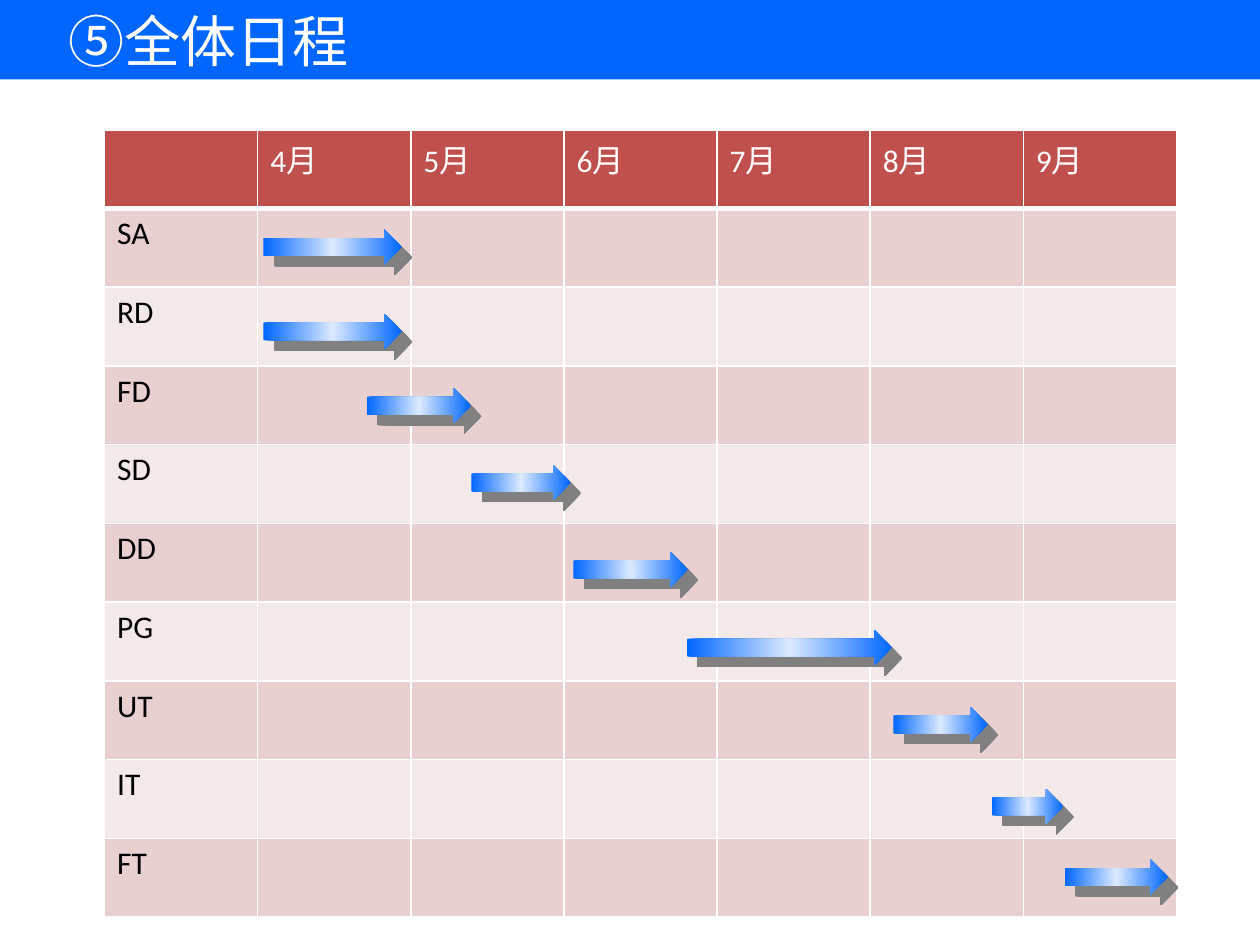
from copy import deepcopy

from lxml.etree import SubElement
from pptx import Presentation
from pptx.dml.color import RGBColor
from pptx.enum.shapes import MSO_SHAPE
from pptx.enum.text import MSO_ANCHOR, MSO_AUTO_SIZE, PP_ALIGN
from pptx.oxml.ns import qn
from pptx.util import Inches, Pt

WHITE = RGBColor(0xFF, 0xFF, 0xFF)
BLACK = RGBColor(0, 0, 0)
BLUE = RGBColor(0x00, 0x66, 0xFF)
PALE_BLUE = RGBColor(0xDC, 0xEA, 0xFF)
GREY = RGBColor(0x80, 0x80, 0x80)
RED = RGBColor(0xC0, 0x50, 0x4D)
ROSE = RGBColor(0xE8, 0xD0, 0xD0)
PALE_ROSE = RGBColor(0xF4, 0xE9, 0xE9)

MONTHS = ["4月", "5月", "6月", "7月", "8月", "9月"]
PHASES = [
    ("SA", 2.09, 1.82, 1.1),
    ("RD", 2.09, 2.49, 1.1),
    ("FD", 2.91, 3.08, 0.83),
    ("SD", 3.74, 3.69, 0.79),
    ("DD", 4.55, 4.38, 0.91),
    ("PG", 5.45, 5.0, 1.63),
    ("UT", 7.09, 5.61, 0.75),
    ("IT", 7.87, 6.26, 0.57),
    ("FT", 8.45, 6.82, 0.82),
]


def write(frame, text, *, font, size, color):
    paragraph = frame.paragraphs[0]
    paragraph.alignment = PP_ALIGN.LEFT
    run = paragraph.add_run()
    run.text = text
    run.font.name = font
    run.font.size = Pt(size)
    run.font.bold = False
    run.font.color.rgb = color


def add_color(parent, color):
    SubElement(parent, qn("a:srgbClr"), val=str(color))


class ScheduleSlide:
    table_font = "Calibri"
    title_font = "Times New Roman"
    bar_height = 0.28

    def __init__(self, slide):
        self.slide = slide

    def shape(self, kind, left, top, width, height):
        shape = self.slide.shapes.add_shape(
            kind, Inches(left), Inches(top), Inches(width), Inches(height)
        )
        shape.shadow.inherit = False
        shape.line.fill.background()
        return shape

    def title(self, text):
        banner = self.shape(MSO_SHAPE.RECTANGLE, 0, 0, 10, 0.63)
        banner.fill.solid()
        banner.fill.fore_color.rgb = BLUE
        frame = banner.text_frame
        frame.word_wrap = True
        frame.auto_size = MSO_AUTO_SIZE.SHAPE_TO_FIT_TEXT
        frame.vertical_anchor = MSO_ANCHOR.MIDDLE
        write(frame, text, font=self.title_font, size=32, color=WHITE)

    def borders(self, cell, widths):
        properties = cell._tc.get_or_add_tcPr()
        for side, width in widths.items():
            line = SubElement(properties, qn(f"a:ln{side}"), w=str(Pt(width)))
            add_color(SubElement(line, qn("a:solidFill")), WHITE)

    def table(self, rows, left, top, width, height):
        grid = self.slide.shapes.add_table(
            len(rows), len(rows[0]),
            Inches(left), Inches(top), Inches(width), Inches(height),
        ).table
        for r, texts in enumerate(rows):
            header = r == 0
            fill = RED if header else (PALE_ROSE, ROSE)[r % 2]
            widths = {"L": 1, "R": 1, "T": 1, "B": 3} if header else {"L": 1, "R": 1, "B": 1}
            for c, text in enumerate(texts):
                cell = grid.cell(r, c)
                self.borders(cell, widths)
                cell.fill.solid()
                cell.fill.fore_color.rgb = fill
                if text:
                    write(cell.text_frame, text, font=self.table_font, size=18,
                          color=WHITE if header else BLACK)

    def bar(self, left, top, width):
        arrow = self.shape(MSO_SHAPE.RIGHT_ARROW, left, top, width, self.bar_height)
        arrow.fill.gradient()
        arrow.fill.gradient_angle = 0
        stops = arrow.fill.gradient_stops
        for stop in stops:
            stop.color.rgb = BLUE
        first = arrow._element.spPr.find(".//" + qn("a:gs"))
        first.addnext(deepcopy(first))
        middle = arrow.fill.gradient_stops[1]
        middle.position = 0.5
        middle.color.rgb = PALE_BLUE
        effects = arrow._element.spPr.find(qn("a:effectLst"))
        shadow = SubElement(effects, qn("a:outerShdw"), dist=str(Pt(8.5)),
                            dir="2700000", algn="ctr", rotWithShape="0")
        add_color(shadow, GREY)


def main():
    presentation = Presentation()
    presentation.slide_width = Inches(10)
    presentation.slide_height = Inches(7.5)
    schedule = ScheduleSlide(presentation.slides.add_slide(presentation.slide_layouts[6]))

    rows = [["", *MONTHS]] + [[phase[0]] + [""] * len(MONTHS) for phase in PHASES]
    schedule.table(rows, 0.83, 1.03, 8.51, 6.25)
    for _, left, top, width in PHASES:
        schedule.bar(left, top, width)
    schedule.title("　⑤全体日程")
    presentation.save("out.pptx")


if __name__ == "__main__":
    main()
